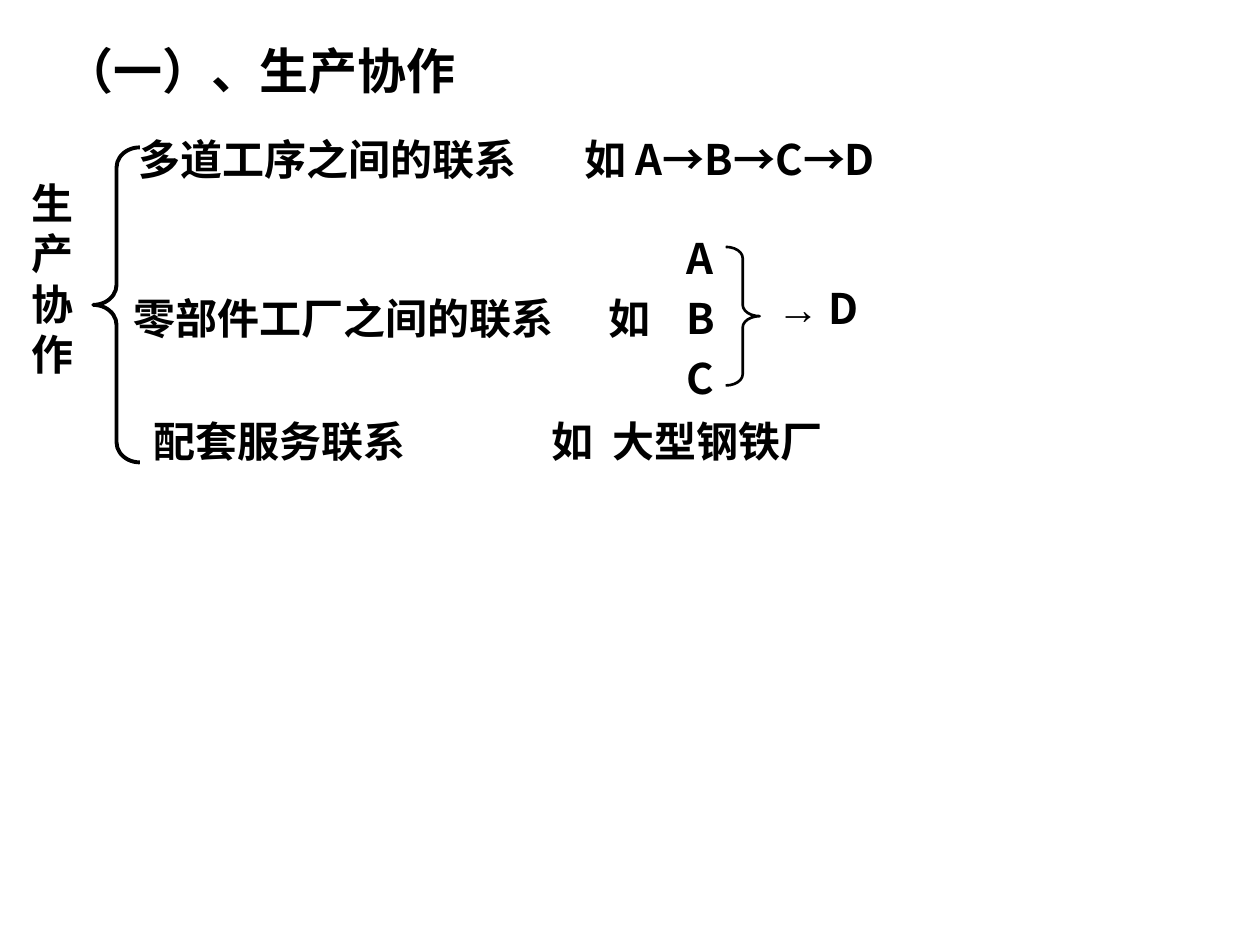
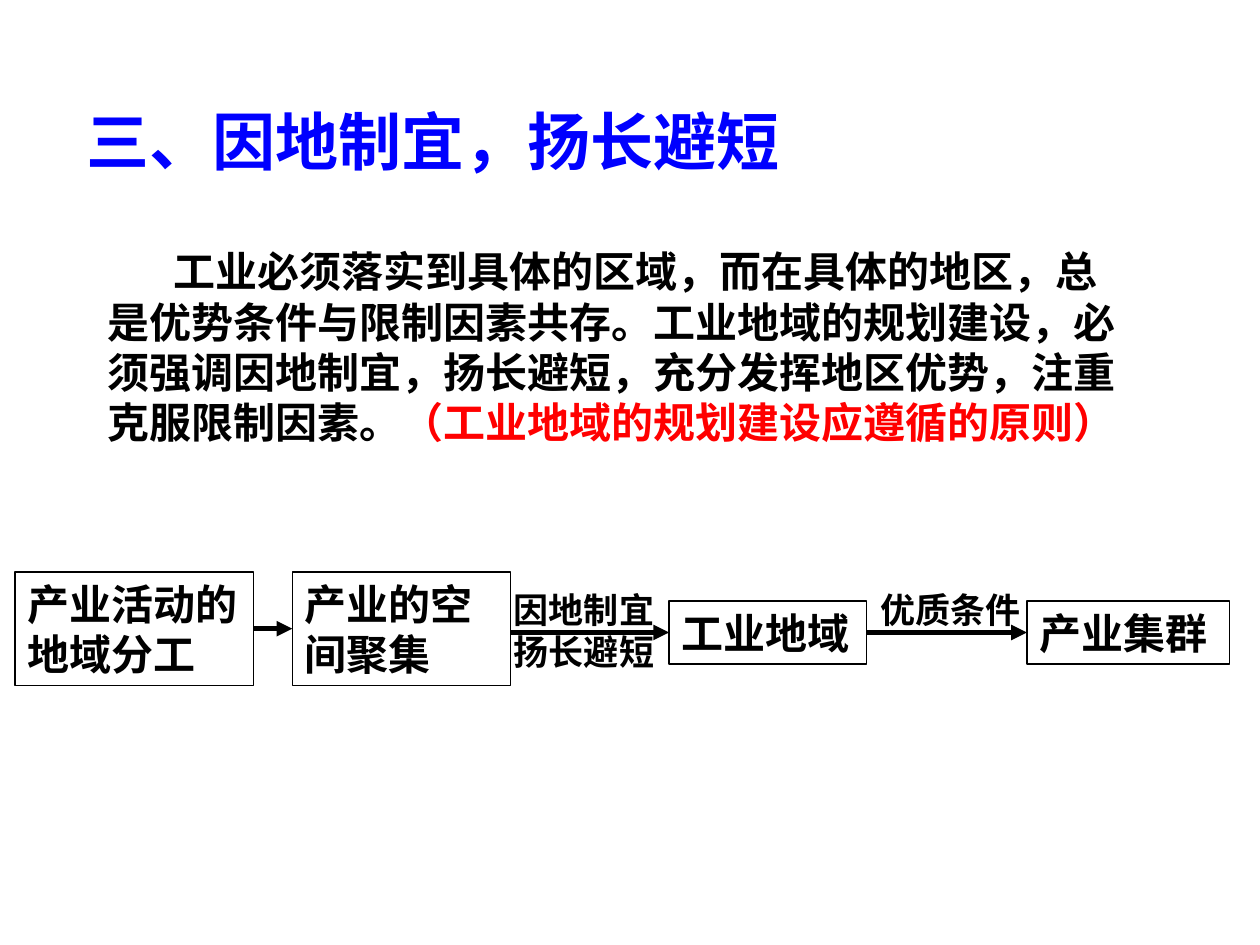
from lxml.etree import SubElement
from pptx import Presentation
from pptx.dml.color import RGBColor
from pptx.enum.shapes import MSO_CONNECTOR, MSO_SHAPE
from pptx.enum.text import MSO_ANCHOR, MSO_AUTO_SIZE, PP_ALIGN
from pptx.oxml.ns import qn
from pptx.util import Inches, Pt

CJK, LATIN = "Noto Sans CJK SC", "Arial"
BLACK, BLUE, RED = "000000", "0000FF", "FF0000"
TITLE_ONLY, TITLE_AND_BODY = 5, 1
RIGHT_SIDE, LEFT_SIDE = 3, 1


# Shared styles
def colour(value):
    return RGBColor.from_string(value)


def inches(*lengths):
    return [Inches(length) for length in lengths]


def format_run(run, size, hue=BLACK, latin=CJK):
    run.font.size, run.font.bold, run.font.name = Pt(size), True, latin
    run.font.color.rgb = colour(hue)
    SubElement(run.font._element, qn("a:ea")).set("typeface", CJK)


def format_frame(frame):
    frame.word_wrap = True
    frame.auto_size = MSO_AUTO_SIZE.NONE
    frame.vertical_anchor = MSO_ANCHOR.TOP
    frame.margin_left = frame.margin_right = Inches(0.1)
    frame.margin_top = frame.margin_bottom = Inches(0.05)
    for paragraph in frame.paragraphs:
        paragraph.alignment = PP_ALIGN.LEFT
        paragraph.space_before = Pt(0)


def place(shape, box):
    shape.left, shape.top, shape.width, shape.height = inches(*box)


def add_title(slide, text, box, size, hue=BLACK):
    title = slide.shapes.title
    place(title, box)
    title.text_frame.text = text
    format_frame(title.text_frame)
    format_run(title.text_frame.paragraphs[0].runs[0], size, hue)


def add_label(slide, text, box, size=24, latin=CJK):
    label = slide.shapes.add_textbox(*inches(*box))
    label.text_frame.text = text
    format_frame(label.text_frame)
    paragraph = label.text_frame.paragraphs[0]
    format_run(paragraph.runs[0], size, latin=latin)
    return paragraph


def add_outline(slide, kind, box, width):
    outline = slide.shapes.add_shape(kind, *inches(*box))
    outline.shadow.inherit = False
    outline.fill.background()
    outline.line.color.rgb = colour(BLACK)
    outline.line.width = Pt(width)
    return outline


def add_brace(slide, kind, box, width, curve):
    brace = add_outline(slide, kind, box, width)
    brace.adjustments[0] = curve


def add_arrow(slide, begin, end):
    arrow = slide.shapes.add_connector(MSO_CONNECTOR.STRAIGHT, *inches(*begin, *end))
    arrow.line.color.rgb = colour(BLACK)
    arrow.line.width = Pt(3)
    SubElement(arrow.line._get_or_add_ln(), qn("a:tailEnd")).set("type", "triangle")
    SubElement(arrow._element.spPr, qn("a:effectLst"))
    return arrow


# Slide 1: kinds of cooperation
def add_cooperation_kinds(slide, box):
    left, top, width, height = box
    add_label(slide, "生产协作", (left, top + 0.35, 0.49, 1.7))
    add_brace(slide, MSO_SHAPE.LEFT_BRACE, (left + 0.59, top + 0.16, 0.37, 2.5), 2.25, 0.43)
    kinds = [
        ("多道工序之间的联系", 0.85, 0),
        ("零部件工厂之间的联系", 0.81, 1.26),
        ("配套服务联系", 0.97, 2.24),
    ]
    for kind, x, y in kinds:
        add_label(slide, kind, (left + x, top + y, 3.65, 0.5))


def add_examples(slide, box):
    left, top, width, height = box
    add_label(slide, "如 A→B→C→D", (left + 0.26, top, 3.74, 0.5))

    # Three parts joining into one product
    add_label(slide, "如", (left + 0.45, top + 1.26, 0.6, 0.5), latin=LATIN)
    for row, part in enumerate("ABC"):
        add_label(slide, part, (left + 1.07, top + 0.79 + row * 0.475, 0.5, 0.5))
    add_brace(slide, MSO_SHAPE.RIGHT_BRACE, (left + 1.48, top + 0.95, 0.27, 1.1), 1.5, 0.33)
    product = add_label(slide, "→", (left + 1.79, top + 1.18, 2.52, 0.5), latin=LATIN)
    letter = product.add_run()
    letter.text = " D"
    format_run(letter, 24)

    # Example of supporting services
    plant = add_label(slide, "如\t大型钢铁厂", (left, top + 2.24, 2.7, 0.5), latin=LATIN)
    stops = SubElement(plant._p.get_or_add_pPr(), qn("a:tabLst"))
    SubElement(stops, qn("a:tab"), pos=str(Inches(0.48)), algn="l")


def build_cooperation_slide(deck):
    slide = deck.slides.add_slide(deck.slide_layouts[TITLE_ONLY])
    add_title(slide, "（一）、生产协作", (0.41, 0.27, 3.86, 0.57), 28)
    add_cooperation_kinds(slide, (0.15, 1.01, 4.13, 2.74))
    add_examples(slide, (4.28, 1.01, 4.31, 2.74))


# Slide 2: principle and path to a cluster
def add_principle(slide, box):
    body = slide.placeholders[1]
    place(body, box)
    paragraph = body.text_frame.paragraphs[0]
    paragraph.text = (
        "工业必须落实到具体的区域，而在具体的地区，总是优势条件与限制因素共存。"
        "工业地域的规划建设，必须强调因地制宜，扬长避短，充分发挥地区优势，注重克服限制因素。"
    )
    emphasis = paragraph.add_run()
    emphasis.text = "（工业地域的规划建设应遵循的原则）"
    format_frame(body.text_frame)
    properties = paragraph._p.get_or_add_pPr()
    properties.set("marL", "0")
    properties.set("indent", str(Inches(0.53)))
    SubElement(properties, qn("a:buNone"))
    for run, hue in zip(paragraph.runs, (BLACK, RED)):
        format_run(run, 24, hue, LATIN)


def add_cluster_path(slide, box):
    left, top, width, height = box
    middle = top + height / 2
    low_middle = middle + 0.03
    stages = [
        ("产业活动的地域分工", 0, 1.89, 0.9, middle),
        ("产业的空间聚集", 2.2, 1.73, 0.9, middle),
        ("工业地域", 5.19, 1.57, 0.5, low_middle),
        ("产业集群", 8.03, 1.61, 0.5, low_middle),
    ]
    frames = []
    for text, x, stage_width, stage_height, centre in stages:
        stage_box = (left + x, centre - stage_height / 2, stage_width, stage_height)
        stage = add_outline(slide, MSO_SHAPE.RECTANGLE, stage_box, 0.75)
        stage.text_frame.text = text
        format_frame(stage.text_frame)
        format_run(stage.text_frame.paragraphs[0].runs[0], 24, latin=LATIN)
        frames.append(stage)

    # Arrows run level with the stage they lead to
    for index in range(1, len(stages)):
        _, x, stage_width, _, start_centre = stages[index - 1]
        _, next_x, _, _, centre = stages[index]
        arrow = add_arrow(slide, (left + x + stage_width, centre), (left + next_x, centre))
        if start_centre == centre:
            arrow.begin_connect(frames[index - 1], RIGHT_SIDE)
        arrow.end_connect(frames[index], LEFT_SIDE)

    add_label(slide, "因地制宜扬长避短", (left + 3.86, top + 0.08, 1.52, 0.77), 20, LATIN)
    add_label(slide, "优质条件", (left + 6.77, top + 0.08, 1.57, 0.44), 20, LATIN)


def build_principle_slide(deck):
    slide = deck.slides.add_slide(deck.slide_layouts[TITLE_AND_BODY])
    add_title(slide, "三、因地制宜，扬长避短", (0.59, 0.76, 6.77, 0.7), 36, BLUE)
    add_principle(slide, (0.75, 1.9, 8.27, 2.1))
    add_cluster_path(slide, (0.12, 4.54, 9.64, 0.9))


def main():
    deck = Presentation()
    deck.slide_width, deck.slide_height = inches(10, 7.5)
    build_cooperation_slide(deck)
    build_principle_slide(deck)
    deck.save("out.pptx")


if __name__ == "__main__":
    main()
